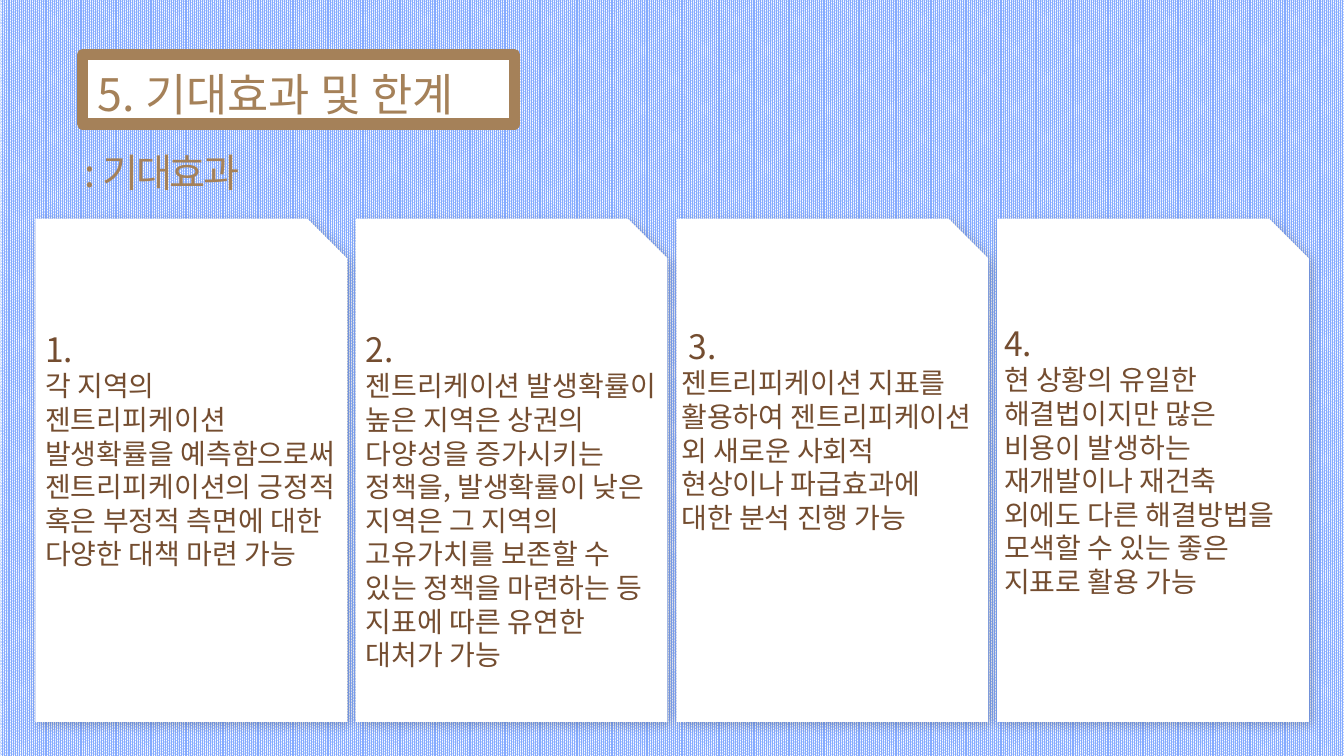
from lxml.etree import SubElement
from pptx import Presentation
from pptx.dml.color import RGBColor
from pptx.enum.dml import MSO_PATTERN
from pptx.enum.shapes import MSO_SHAPE
from pptx.oxml.ns import qn
from pptx.util import Inches, Pt

FONT = "Noto Sans CJK KR"
COLORS = {"sky": "85ABFF", "white": "FFFFFF", "tan": "A58159",
          "brown": "744D30", "shadow": "000000"}

TITLE = "5. 기대효과 및 한계"
SUBTITLE = ": 기대효과"
# number, body text, text left, top, width, height
CARDS = [
    ("1.", "각 지역의 젠트리피케이션 발생확률을 예측함으로써 젠트리피케이션의 "
           "긍정적 혹은 부정적 측면에 대한 다양한 대책 마련 가능", 0.35, 3.21, 3.09, 2.52),
    ("2.", "젠트리케이션 발생확률이 높은 지역은 상권의 다양성을 증가시키는 정책을, "
           "발생확률이 낮은 지역은 그 지역의 고유가치를 보존할 수 있는 정책을 "
           "마련하는 등 지표에 따른 유연한 대처가 가능", 3.53, 3.21, 3.09, 2.86),
    (" 3.", "젠트리피케이션 지표를 활용하여 젠트리피케이션 외 새로운 사회적 "
            "현상이나 파급효과에 대한 분석 진행 가능", 6.66, 3.18, 3.13, 2.52),
    ("4.", "현 상황의 유일한 해결법이지만 많은 비용이 발생하는 재개발이나 재건축 "
           "외에도 다른 해결방법을 모색할 수 있는 좋은 지표로 활용 가능",
     9.86, 3.15, 3.09, 2.19),
]
CARD_LEFT, CARD_TOP, CARD_W, CARD_H, CARD_STEP = 0.35, 2.17, 3.09, 4.99, 3.18


def rgb(name):
    return RGBColor.from_string(COLORS[name])


def add_panel(slide, kind, *box):
    sp = slide.shapes.add_shape(kind, *map(Inches, box))
    sp.shadow.inherit = False
    sp.fill.solid()
    sp.fill.fore_color.rgb = rgb("white")
    sp.line.fill.background()
    return sp


def add_soft_shadow(sp):
    """Give the shape a faint shadow towards the lower right."""
    effects = sp._element.spPr.find(qn("a:effectLst"))
    outer = SubElement(effects, qn("a:outerShdw"), blurRad=str(Pt(8)),
                       dist=str(Pt(3)), dir=str(45 * 60000),
                       algn="tl", rotWithShape="0")
    color = SubElement(outer, qn("a:srgbClr"), val=COLORS["shadow"])
    SubElement(color, qn("a:alpha"), val="22000")


def add_text(slide, box, lines, color, wrap=True, spacing=None):
    """Add a text box; lines holds (text, size) pairs, one per paragraph."""
    tf = slide.shapes.add_textbox(*map(Inches, box)).text_frame
    tf.word_wrap = wrap
    for i, (text, size) in enumerate(lines):
        p = tf.add_paragraph() if i else tf.paragraphs[0]
        p.text = text
        p.font.size = Pt(size)
        p.font.color.rgb = rgb(color)
        p.font.name = FONT
        props = p._p.pPr.find(qn("a:defRPr"))
        SubElement(props, qn("a:ea"), typeface=FONT)
        if spacing is not None:
            props.set("spc", str(int(spacing * 100)))


def main():
    prs = Presentation()
    prs.slide_width, prs.slide_height = Inches(13.33), Inches(7.5)
    slide = prs.slides.add_slide(prs.slide_layouts[6])

    fill = slide.background.fill
    fill.patterned()
    fill.pattern = MSO_PATTERN.PERCENT_90
    fill.fore_color.rgb = rgb("sky")
    fill.back_color.rgb = rgb("white")

    frame = add_panel(slide, MSO_SHAPE.RECTANGLE, 0.82, 0.54, 4.28, 0.69)
    frame.line.color.rgb = rgb("tan")
    frame.line.width = Pt(8)
    add_text(slide, (0.87, 0.61, 4.35, 0.64), [(TITLE, 32)], "tan", wrap=False)
    add_text(slide, (0.74, 1.42, 4.79, 0.57), [(SUBTITLE, 28)], "tan", spacing=-1.5)

    for i, (number, body, *box) in enumerate(CARDS):
        card = add_panel(slide, MSO_SHAPE.SNIP_1_RECTANGLE,
                         CARD_LEFT + i * CARD_STEP, CARD_TOP, CARD_W, CARD_H)
        card.adjustments[0] = 0.127
        add_soft_shadow(card)
        add_text(slide, box, [(number, 24), (body, 20)], "brown")

    prs.save("out.pptx")


if __name__ == "__main__":
    main()
